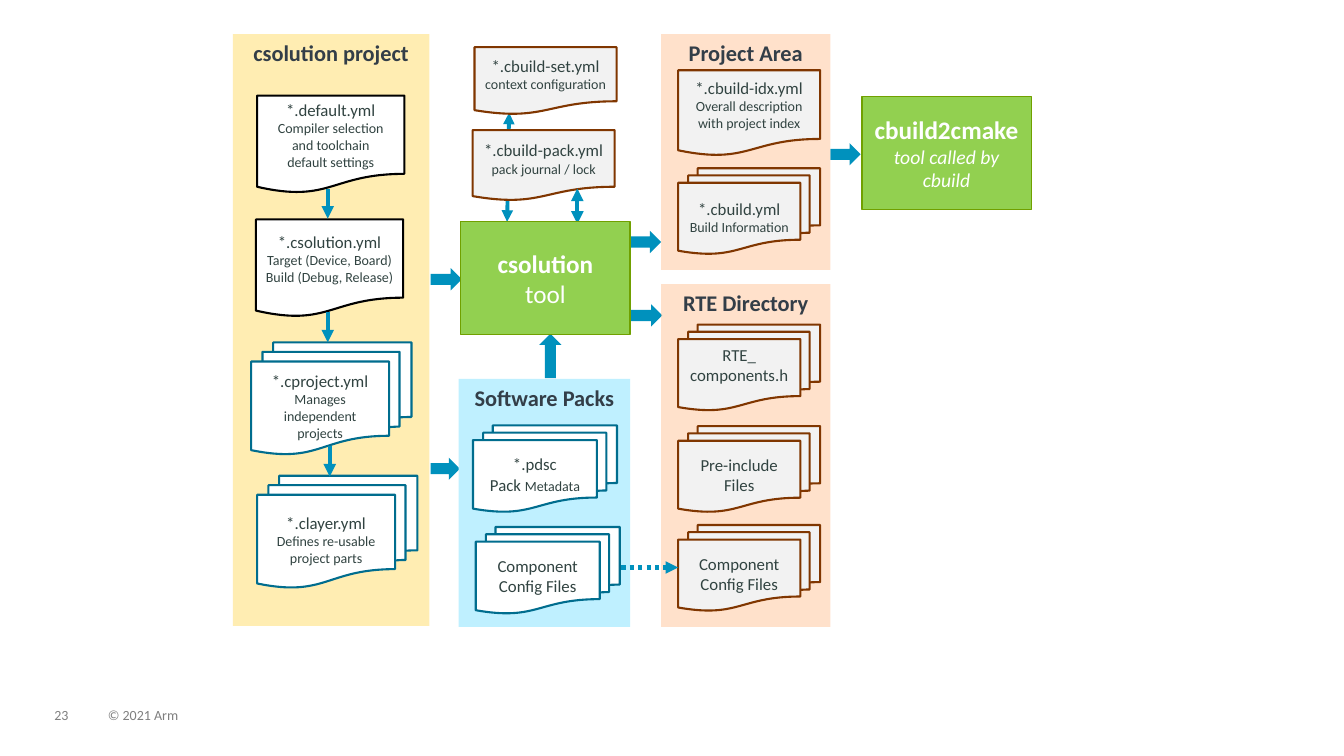
from lxml.etree import SubElement
from pptx import Presentation
from pptx.dml.color import RGBColor
from pptx.enum.dml import MSO_LINE
from pptx.enum.shapes import MSO_CONNECTOR, MSO_SHAPE as Shape
from pptx.enum.text import MSO_ANCHOR as Anchor, PP_ALIGN as Align
from pptx.oxml.ns import qn
from pptx.util import Cm, Pt

BLUE, NAVY, BROWN, BLACK = "0091BD", "006D8E", "803600", "000000"
WHITE, GREY, INK, TITLE = "FFFFFF", "F2F2F2", "314341", "333E48"
SINGLE, MULTI = Shape.FLOWCHART_DOCUMENT, Shape.FLOWCHART_MULTIDOCUMENT
OUTPUT_SIZE = (3.58, 2.16)


def color(hex_string):
    """Return the colour for a hex string."""
    return RGBColor.from_string(hex_string)


def set_values(target, values):
    """Set each attribute in values on the target."""
    for name, value in values.items():
        setattr(target, name, value)


def write_text(shape, runs, ink, align=Align.CENTER, anchor=Anchor.MIDDLE,
               insets=(0.25, 0.13)):
    """Write (text, size, styles) runs in one paragraph, breaking at newlines."""
    frame = shape.text_frame
    side, end = (Cm(inset) for inset in insets)
    set_values(frame, {
        "word_wrap": True, "vertical_anchor": anchor,
        "margin_left": side, "margin_right": side,
        "margin_top": end, "margin_bottom": end,
    })
    paragraph = frame.paragraphs[0]
    paragraph.alignment = align
    for text, size, *styles in runs:
        for index, line in enumerate(text.split("\n")):
            if index:
                paragraph.add_line_break()
                line_break = paragraph._p.findall(qn("a:br"))[-1]
                SubElement(line_break, qn("a:rPr"), sz=str(size * 100))
            if line:
                run = paragraph.add_run()
                run.text = line
                set_values(run.font, {"name": "Calibri", "size": Pt(size)})
                set_values(run.font, dict.fromkeys(styles, True))
                run.font.color.rgb = color(ink)


def add_block(slide, kind, box, fill, outline=None, width=1.5, alpha=None):
    """Add a filled preset shape in the box, given in centimetres."""
    shape = slide.shapes.add_shape(kind, *map(Cm, box))
    shape.shadow.inherit = False
    shape.fill.solid()
    shape.fill.fore_color.rgb = color(fill)
    if alpha:
        fill_color = shape._element.spPr.find(qn("a:solidFill"))[0]
        SubElement(fill_color, qn("a:alpha"), val=str(alpha * 1000))
    if outline:
        shape.line.color.rgb = color(outline)
        shape.line.width = Pt(width)
    else:
        shape.line.fill.background()
    return shape


def add_line_arrow(slide, start, end, ends=("tailEnd",), width=3, dash=None):
    """Add a straight line with triangles at the named ends."""
    points = map(Cm, (*start, *end))
    connector = slide.shapes.add_connector(MSO_CONNECTOR.STRAIGHT, *points)
    connector.line.color.rgb = color(BLUE)
    connector.line.width = Pt(width)
    if dash:
        connector.line.dash_style = dash
    properties = connector._element.spPr
    for name in ends:
        SubElement(properties.find(qn("a:ln")), qn(f"a:{name}"), type="triangle")
    SubElement(properties, qn("a:effectLst"))


def add_panel(slide, box, title, fill, alpha=None):
    """Add a borderless titled panel."""
    panel = add_block(slide, Shape.RECTANGLE, box, fill, alpha=alpha)
    write_text(panel, [(title, 16, "bold")], TITLE, anchor=Anchor.TOP)


def add_documents(slide, origin, documents, fill=WHITE):
    """Add documents at offsets from the origin."""
    left, top = origin
    for kind, (x, y), size, outline, runs, options in documents:
        box = (left + x, top + y, *size)
        write_text(add_block(slide, kind, box, fill, outline), runs, INK, **options)


def add_project_inputs(slide, box):
    """Place the csolution project panel, its files and the arrows between them."""
    left, top = box[:2]
    add_panel(slide, box, "csolution project", "FFDD66", 50)
    flush = {"insets": (0, 0.13)}
    single, multi = (3.71, 2.46), (4.04, 2.82)
    add_documents(slide, (left, top), [
        (SINGLE, (0.61, 1.55), single, BLACK, [("*.default.yml\n", 12), (
            "Compiler selection\nand toolchain\ndefault settings", 10)], flush),
        (SINGLE, (0.58, 4.67), single, BLACK, [("*.csolution.yml\n", 12), (
            "Target (Device, Board) Build (Debug, Release)", 10)], flush),
        (MULTI, (0.46, 7.77), multi, NAVY, [("*.cproject.yml\n", 12), (
            "Manages\nindependent\nprojects", 10)], {}),
        (MULTI, (0.61, 11.13), multi, NAVY, [("*.clayer.yml\n", 12), (
            "Defines re-usable project parts", 10)], {}),
    ])
    for x, start, end in ((2.39, 3.89, 4.65), (2.39, 6.99, 7.77), (2.44, 10.39, 11.15)):
        add_line_arrow(slide, (left + x, top + start), (left + x, top + end))


def add_project_area(slide, box):
    """Place the Project Area panel with its build files."""
    add_panel(slide, box, "Project Area", "FFC499", 50)
    add_documents(slide, box[:2], [
        (SINGLE, (0.43, 0.91), OUTPUT_SIZE, BROWN, [("*.cbuild-idx.yml\n", 12), (
            "Overall description\nwith project index", 10)], {}),
        (MULTI, (0.43, 3.38), OUTPUT_SIZE, BROWN, [("*.cbuild.yml\n", 12), (
            "Build Information", 10)], {}),
    ], GREY)


def add_rte_directory(slide, box):
    """Place the RTE Directory panel with its generated files."""
    add_panel(slide, box, "RTE Directory", "FFC499", 50)
    files = (
        (1.02, "RTE_\ncomponents.h", {"anchor": Anchor.TOP}),
        (3.58, "Pre-include\nFiles", {}),
        (6.07, "Component\nConfig Files", {}),
    )
    add_documents(slide, box[:2], [
        (MULTI, (0.43, y), OUTPUT_SIZE, BROWN, [(text, 12)], options)
        for y, text, options in files
    ], GREY)


def add_software_packs(slide, box):
    """Place the Software Packs panel and its dotted arrow to the RTE Directory."""
    left, top = box[:2]
    add_panel(slide, box, "Software Packs", "BFF0FF")
    add_line_arrow(slide, (left + 3.25, top + 4.75), (left + 5.53, top + 4.75),
                   dash=MSO_LINE.ROUND_DOT)
    size = (3.63, 2.18)
    add_documents(slide, (left, top), [
        (MULTI, (0.36, 1.17), size, NAVY, [
            ("*.pdsc\nPack ", 12), ("Metadata", 10)], {}),
        (MULTI, (0.43, 3.73), size, NAVY, [("Component\nConfig Files", 12)], {}),
    ])


def add_tool(slide, box, runs):
    """Place a green tool box."""
    tool = add_block(slide, Shape.RECTANGLE, box, "92D050", "70A000", 1)
    write_text(tool, runs, WHITE)


def add_context_files(slide, box):
    """Place the context files above the csolution tool with their arrows."""
    left, top = box[:2]
    both = ("headEnd", "tailEnd")
    add_line_arrow(slide, (left + 0.87, top + 4.4), (left + 0.92, top + 1.65), both, 2.75)
    flush = {"insets": (0, 0.13)}
    add_documents(slide, (left, top), [
        (SINGLE, (0.05, 0), (3.58, 1.7), BROWN, [
            ("*.cbuild-set.yml\n", 12), ("context configuration", 10)], flush),
        (SINGLE, (0, 2.09), (3.58, 1.78), BROWN, [
            ("*.cbuild-pack.yml\n", 12), ("pack journal / lock", 10)], flush),
    ], GREY)
    add_line_arrow(slide, (left + 2.64, top + 4.45), (left + 2.64, top + 3.56), both)


def add_flow_arrows(slide):
    """Place the block arrows between the regions."""
    for left, top, length, rotation in (
        (15.24, 5.82, 1.42, 0), (15.27, 7.67, 1.42, 0), (10.85, 11.53, 0.74, 0),
        (10.85, 6.76, 0.79, 0), (13.31, 8.69, 1.12, 270), (20.93, 3.61, 0.76, 0),
    ):
        arrow = add_block(slide, Shape.RIGHT_ARROW, (left, top, length, 0.56), BLUE)
        arrow.rotation = rotation


def add_footer(slide, box):
    """Place the page number and the copyright line."""
    left, top, width, height = box
    for x, room, text in ((0, 0.86, "23"), (1.35, width - 1.35, "© 2021 Arm")):
        label = slide.shapes.add_textbox(*map(Cm, (left + x, top, room, height)))
        write_text(label, [(text, 10)], "7F7F7F", Align.LEFT, Anchor.TOP, (0, 0))


def main():
    """Build the slide and save it."""
    presentation = Presentation()
    presentation.slide_width, presentation.slide_height = Cm(33.87), Cm(19.05)
    slide = presentation.slides.add_slide(presentation.slide_layouts[6])
    add_footer(slide, (1.37, 17.8, 14.24, 0.38))
    add_flow_arrows(slide)
    add_context_files(slide, (11.91, 1.19, 3.63, 3.87))
    add_rte_directory(slide, (16.66, 7.16, 4.27, 8.64))
    add_project_area(slide, (16.66, 0.86, 4.27, 5.94))
    add_project_inputs(slide, (5.87, 0.86, 4.95, 14.91))
    add_software_packs(slide, (11.56, 9.55, 4.32, 6.25))
    add_tool(slide, (11.61, 5.59, 4.27, 2.84), [("csolution\n", 18, "bold"), ("tool", 18)])
    add_tool(slide, (21.72, 2.44, 4.27, 2.84), [
        ("cbuild2cmake\n", 18, "bold"), ("tool called by cbuild", 14, "italic")])
    presentation.save("out.pptx")


if __name__ == "__main__":
    main()
